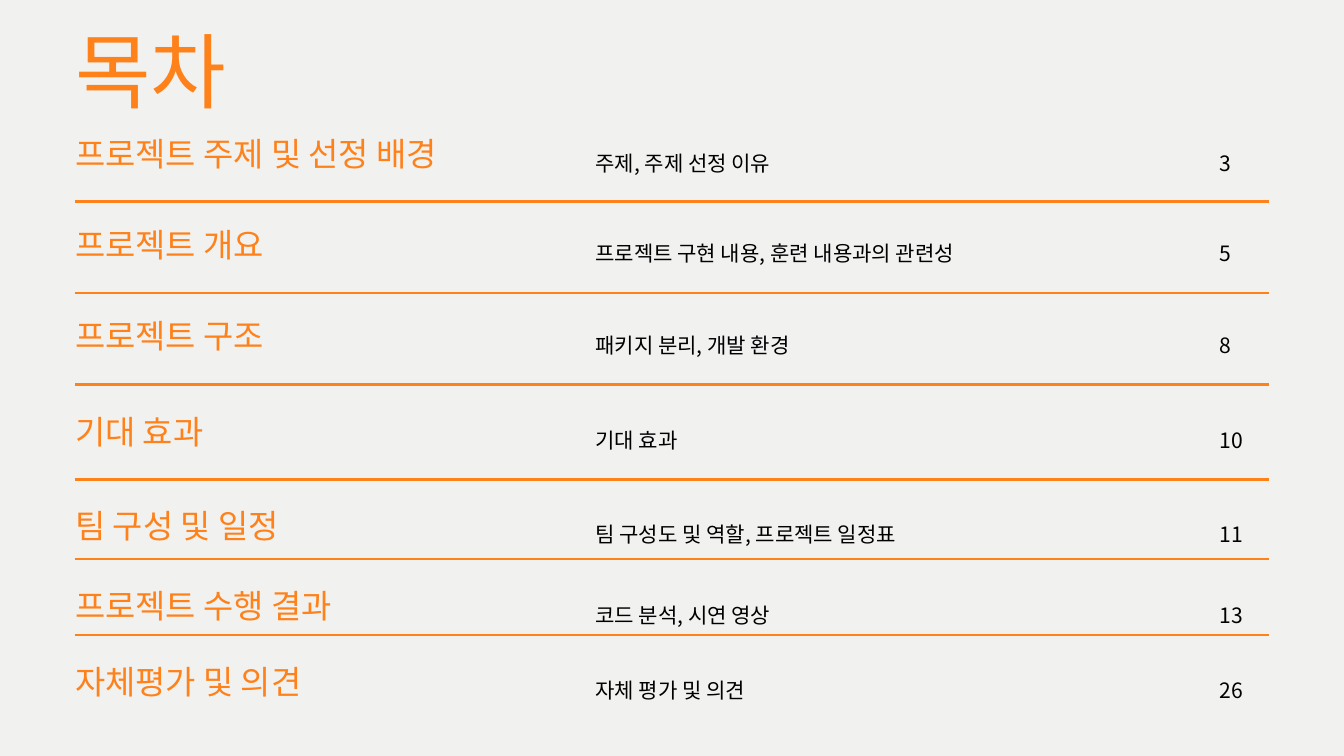
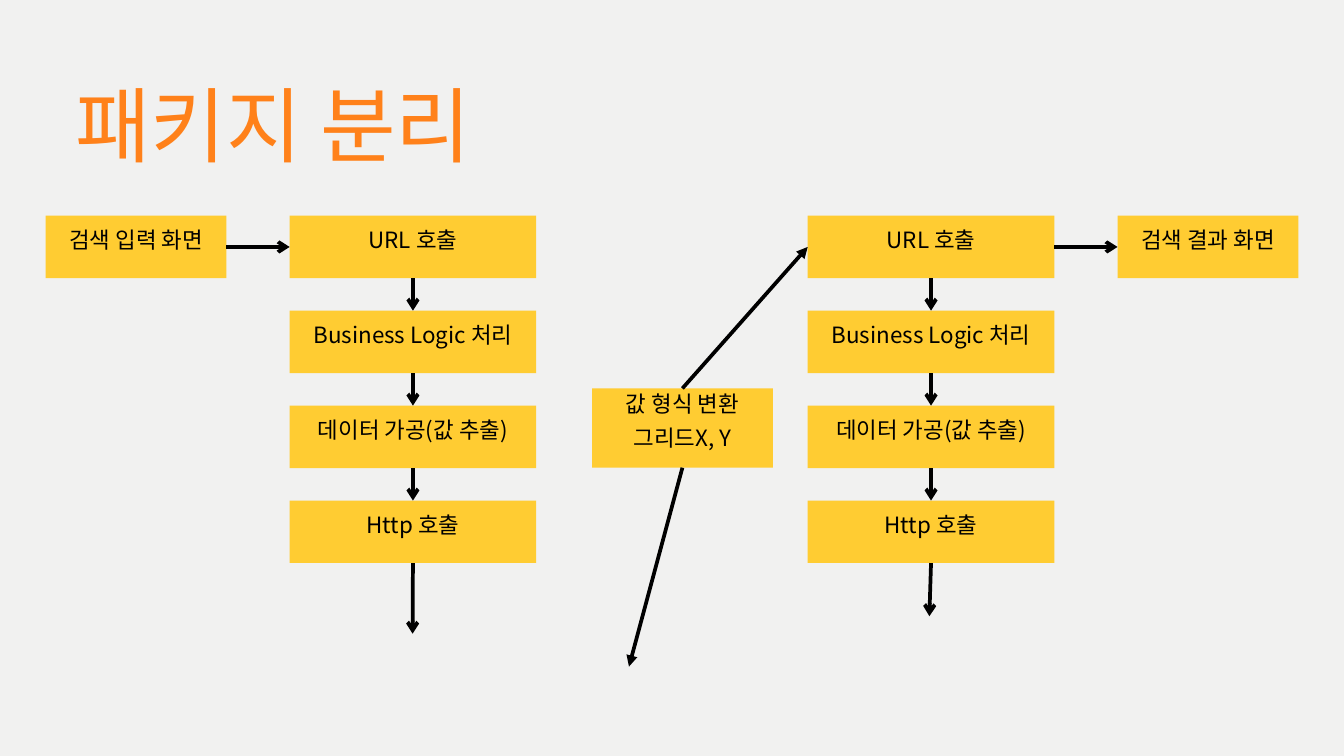
from pptx import Presentation
from pptx import util as u
from pptx.dml.color import RGBColor
from pptx.enum import shapes, text
from pptx.oxml.ns import qn
from lxml import etree

PAPER = RGBColor(0xF1, 0xF1, 0xF0)
ORANGE = RGBColor(0xFF, 0x81, 0x1A)
YELLOW = RGBColor(0xFF, 0xCC, 0x32)
BLACK = RGBColor(0, 0, 0)
LATIN, NOTO = "Calibri", "Noto Sans CJK KR"
W, H = 20, 11.25
LEFT, RIGHT = 1.12, 18.88

prs = Presentation()
prs.slide_width, prs.slide_height = u.Inches(W), u.Inches(H)


def put_text(s, box, words, size, leading, color, font, filled=False):
    box = [u.Inches(v) for v in box]
    if filled:
        sp = s.shapes.add_shape(shapes.MSO_SHAPE.RECTANGLE, *box)
        sp.shadow.inherit = False
        sp.fill.solid()
        sp.fill.fore_color.rgb = YELLOW
        sp.line.fill.background()
    else:
        sp = s.shapes.add_textbox(*box)
    tf = sp.text_frame
    tf.text = words
    tf.word_wrap = True
    tf.margin_left = tf.margin_right = u.Inches(0.06 if filled else 0)
    tf.margin_top, tf.margin_bottom = 0, u.Inches(0.32 if filled else 0)
    if filled:
        tf.vertical_anchor = text.MSO_ANCHOR.MIDDLE
    else:
        tf.auto_size = text.MSO_AUTO_SIZE.SHAPE_TO_FIT_TEXT
    for p in tf.paragraphs:
        p.alignment = text.PP_ALIGN.CENTER if filled else text.PP_ALIGN.LEFT
        p.line_spacing = u.Pt(leading)
        for r in p.runs:
            r.font.size, r.font.name = u.Pt(size), font
            r.font.color.rgb = color


def put_line(s, x1, y1, x2, y2, color, width, head=None):
    ln = s.shapes.add_connector(shapes.MSO_CONNECTOR.STRAIGHT, *[u.Inches(v) for v in (x1, y1, x2, y2)])
    ln.line.color.rgb, ln.line.width = color, u.Pt(width)
    if head:
        etree.SubElement(ln.line._get_or_add_ln(), qn("a:tailEnd"), type=head)
    etree.SubElement(ln._element.spPr, qn("a:effectLst"))


titles = [("목차", 0.31, RIGHT - LEFT), ("패키지 분리", 1.11, W / 2)]
for title, top, width in titles:
    s = prs.slides.add_slide(prs.slide_layouts[6])
    s.background.fill.solid()
    s.background.fill.fore_color.rgb = PAPER
    put_text(s, (LEFT, top, width, 1.47), title, 88, 105.6, ORANGE, LATIN)
contents, packages = prs.slides

chapters = [
    (1.99, 6.34, "프로젝트 주제 및 선정 배경", "주제, 주제 선정 이유", NOTO, "3"),
    (3.34, 3.47, "프로젝트 개요", "프로젝트 구현 내용, 훈련 내용과의 관련성", NOTO, "5"),
    (4.7, 3.47, "프로젝트 구조", "패키지 분리, 개발 환경", NOTO, "8"),
    (6.12, 3.47, "기대 효과", "기대 효과", LATIN, "10"),
    (7.52, 4.58, "팀 구성 및 일정", "팀 구성도 및 역할, 프로젝트 일정표", NOTO, "11"),
    (8.72, 4.58, "프로젝트 수행 결과", "코드 분석, 시연 영상", NOTO, "13"),
    (9.84, 4.58, "자체평가 및 의견", "자체 평가 및 의견", LATIN, "26"),
]
for top, width, heading, detail, font, page in chapters:
    put_text(contents, (LEFT, top, width, 0.6), heading, 35.2, 42.3, ORANGE, LATIN)
    put_text(contents, (8.86, top + 0.18, 9.3, 0.42), detail, 22.6, 31.7, BLACK, font)
    put_text(contents, (18.15, top + 0.18, 0.13 + 0.17 * len(page), 0.42), page, 22.6, 31.7, BLACK, NOTO)
for y in (3, 4.36, 5.72, 7.13, 8.32, 9.45):
    put_line(contents, LEFT, y, RIGHT, y, ORANGE, 3)

TOP, PITCH, BOX_H = 3.21, 1.413, 0.93
STEP_W, SCREEN_W, GAP = 3.67, 2.69, 0.94
MID = TOP + BOX_H / 2
LEFT_COL, RIGHT_COL = 4.31, 12.02
steps = ["URL 호출", "Business Logic 처리", "데이터 가공(값 추출)", "Http 호출"]
for x, end_x, end_y in ((LEFT_COL, 6.14, 9.43), (RIGHT_COL, 13.83, 9.17)):
    center = x + STEP_W / 2
    for i, step in enumerate(steps):
        y = TOP + i * PITCH
        put_text(packages, (x, y, STEP_W, BOX_H), step, 24, 36, BLACK, NOTO, True)
        if i:
            put_line(packages, center, y - PITCH + BOX_H, center, y, BLACK, 4, "arrow")
    put_line(packages, center, y + BOX_H, end_x, end_y, BLACK, 4, "arrow")

screens = [
    ("검색 입력 화면", LEFT_COL - GAP - SCREEN_W, LEFT_COL - GAP),
    ("검색 결과 화면", RIGHT_COL + STEP_W + GAP, RIGHT_COL + STEP_W),
]
for screen, x, arrow_x in screens:
    put_text(packages, (x, TOP, SCREEN_W, BOX_H), screen, 24, 36, BLACK, LATIN, True)
    put_line(packages, arrow_x, MID, arrow_x + GAP, MID, BLACK, 4, "arrow")

CONV_X, CONV_Y, CONV_H = 8.81, 5.78, 1.18
conv_center = CONV_X + SCREEN_W / 2
put_text(packages, (CONV_X, CONV_Y, SCREEN_W, CONV_H), "값 형식 변환\n그리드X, Y", 24, 36, BLACK, LATIN, True)
packages.shapes[-1].text_frame.paragraphs[1].runs[0].font.name = NOTO
put_line(packages, conv_center, CONV_Y, RIGHT_COL, MID, BLACK, 4, "triangle")
put_line(packages, conv_center, CONV_Y + CONV_H, 9.36, 9.92, BLACK, 4, "triangle")

prs.save("out.pptx")
